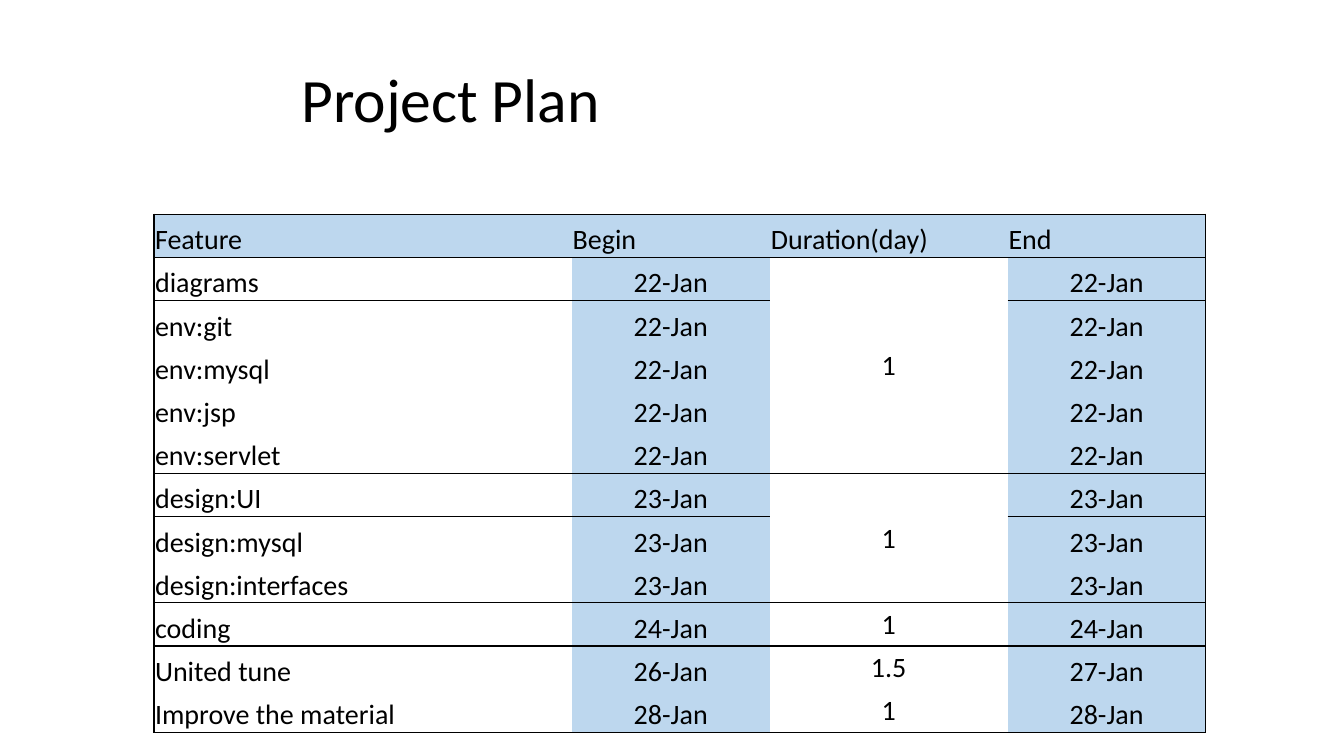
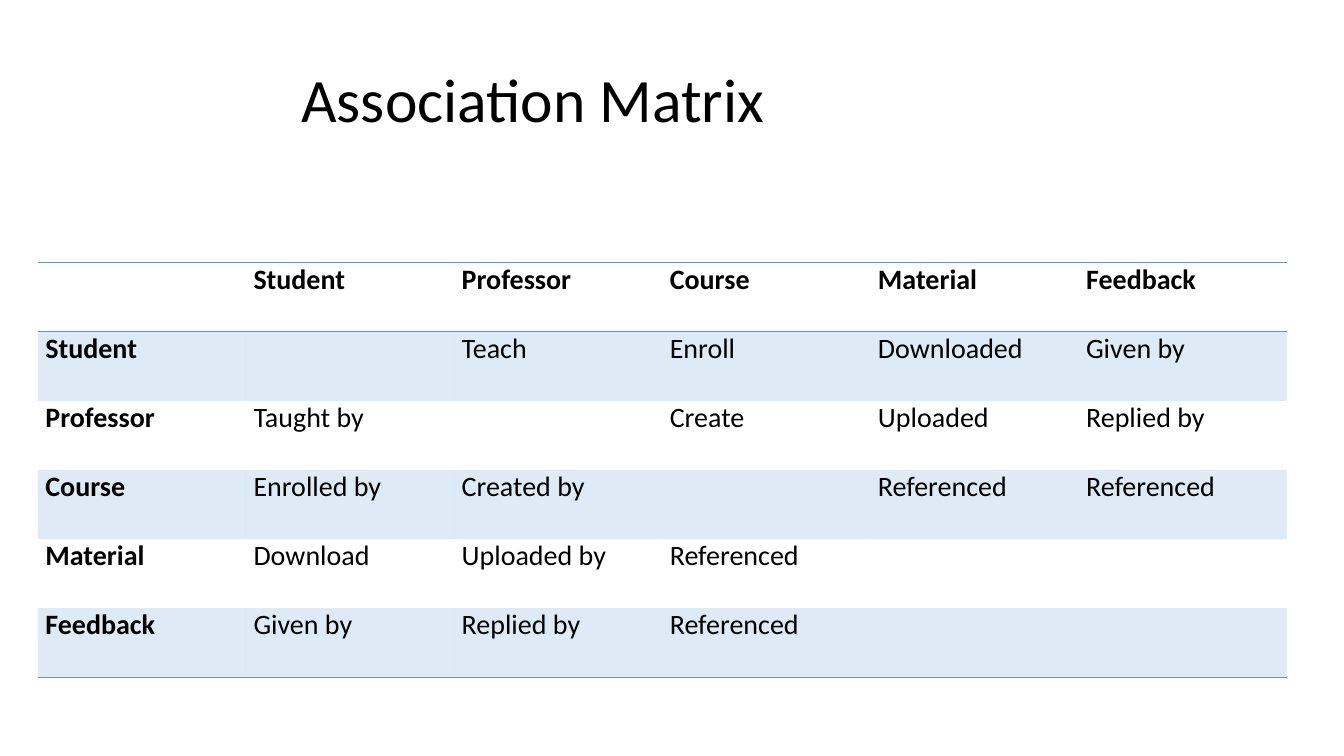
from dataclasses import dataclass

import lxml.etree
import pptx
import pptx.dml.color
import pptx.enum.text
import pptx.oxml.ns
import pptx.slide
import pptx.table
import pptx.text.text
import pptx.util

Pt = pptx.util.Pt
qn = pptx.oxml.ns.qn
ALIGN = pptx.enum.text.PP_ALIGN
ANCHOR = pptx.enum.text.MSO_ANCHOR

COLORS = {"text": "000000", "rule": "000000", "date": "BDD7EE", "accent": "5B9BD5"}
FONT = "Calibri"
TITLE_ONLY = 5
PLAIN_TABLE_STYLE = "{2D5ABB26-0587-4C30-8999-92F81FD0307C}"


@dataclass(frozen=True)
class Task:
    """A plan row; an empty duration continues the one above."""
    feature: str
    begin: str
    duration: str
    end: str


@dataclass(frozen=True)
class Grid:
    left: float
    top: float
    columns: tuple[float, ...]
    row_height: float
    rows: int


@dataclass(frozen=True)
class CellStyle:
    """Borders names the ruled sides: L, R, T and B."""
    margins: tuple[float, float]
    borders: str = ""
    border_color: str = "rule"
    fill: str | None = None
    opacity: int = 100
    anchor: ANCHOR = ANCHOR.TOP


HEADINGS = Task("Feature", "Begin", "Duration(day)", "End")
PHASES = [
    [
        Task("diagrams", "22-Jan", "1", "22-Jan"),
        Task("env:git", "22-Jan", "", "22-Jan"),
        Task("env:mysql", "22-Jan", "", "22-Jan"),
        Task("env:jsp", "22-Jan", "", "22-Jan"),
        Task("env:servlet", "22-Jan", "", "22-Jan"),
    ],
    [
        Task("design:UI", "23-Jan", "1", "23-Jan"),
        Task("design:mysql", "23-Jan", "", "23-Jan"),
        Task("design:interfaces", "23-Jan", "", "23-Jan"),
    ],
    [
        Task("coding", "24-Jan", "1", "24-Jan"),
        Task("United tune", "26-Jan", "1.5", "27-Jan"),
        Task("Improve the material", "28-Jan", "1", "28-Jan"),
    ],
]
ENTITIES = ["Student", "Professor", "Course", "Material", "Feedback"]
ASSOCIATIONS = [
    ["", "Teach", "Enroll", "Downloaded", "Given by"],
    ["Taught by", "", "Create", "Uploaded", "Replied by"],
    ["Enrolled by", "Created by", "", "Referenced", "Referenced"],
    ["Download", "Uploaded by", "Referenced", "", ""],
    ["Given by", "Replied by", "Referenced", "", ""],
]


def write_text(frame: pptx.text.text.TextFrame, text: str, *, size: float = 20,
               bold: bool = False, align: ALIGN = ALIGN.LEFT,
               line_spacing: float = 1.0, color: str = "text") -> None:
    paragraph = frame.paragraphs[0]
    paragraph.alignment = align
    paragraph.line_spacing = line_spacing
    if text:
        run = paragraph.add_run()
        run.text = text
        run.font.name = FONT
        run.font.size = Pt(size)
        run.font.bold = bold
        run.font.color.rgb = pptx.dml.color.RGBColor.from_string(COLORS[color])


def add_titled_slide(deck, heading: str) -> pptx.slide.Slide:
    slide = deck.slides.add_slide(deck.slide_layouts[TITLE_ONLY])
    title = slide.shapes.title
    title.left, title.top, title.width, title.height = Pt(208), Pt(29), Pt(686), Pt(88.5)
    title.text_frame.vertical_anchor = ANCHOR.MIDDLE
    write_text(title.text_frame, heading, size=44, line_spacing=0.9)
    return slide


def add_plain_table(slide: pptx.slide.Slide, grid: Grid) -> pptx.table.Table:
    table = slide.shapes.add_table(
        grid.rows, len(grid.columns), Pt(grid.left), Pt(grid.top),
        Pt(sum(grid.columns)), Pt(grid.row_height * grid.rows)).table
    table._tbl.tblPr.find(qn("a:tableStyleId")).text = PLAIN_TABLE_STYLE
    table.first_row = table.horz_banding = False
    for column, width in zip(table.columns, grid.columns):
        column.width = Pt(width)
    for row in table.rows:
        row.height = Pt(grid.row_height)
    return table


def style_cell(cell: pptx.table._Cell, style: CellStyle) -> None:
    side, top = style.margins
    cell.margin_left = cell.margin_right = Pt(side)
    cell.margin_top, cell.margin_bottom = Pt(top), Pt(0)
    cell.vertical_anchor = style.anchor
    properties = cell._tc.get_or_add_tcPr()
    for edge in "LRTB":  # the schema fixes this order
        if edge in style.borders:
            line = lxml.etree.SubElement(properties, qn(f"a:ln{edge}"), w=str(Pt(1)))
            solid = lxml.etree.SubElement(line, qn("a:solidFill"))
            lxml.etree.SubElement(solid, qn("a:srgbClr"), val=COLORS[style.border_color])
    if style.fill is None:
        cell.fill.background()
        return
    cell.fill.solid()
    cell.fill.fore_color.rgb = pptx.dml.color.RGBColor.from_string(COLORS[style.fill])
    if style.opacity < 100:
        tint = properties.find(f"{qn('a:solidFill')}/{qn('a:srgbClr')}")
        lxml.etree.SubElement(tint, qn("a:alpha"), val=str(style.opacity * 1000))


def add_project_plan(deck) -> None:
    slide = add_titled_slide(deck, "Project Plan")
    groups = [[HEADINGS], *PHASES]
    table = add_plain_table(slide, Grid(
        110, 153, (298.3, 141.7, 169.7, 141.7), 30.85, sum(map(len, groups))))
    row = 0
    for group in groups:
        is_header = group == [HEADINGS]
        for position, task in enumerate(group):
            edges = ("T" if position == 0 else "") + ("B" if position == len(group) - 1 else "")
            values = (task.feature, task.begin, task.duration, task.end)
            for column, value in enumerate(values):
                cell = table.cell(row + position, column)
                is_duration = column == 2 and not is_header
                style_cell(cell, CellStyle(
                    margins=(0.75, 0.75),
                    borders=edges + {0: "L", 3: "R"}.get(column, ""),
                    fill="date" if is_header or column in (1, 3) else None,
                    anchor=ANCHOR.MIDDLE if is_duration else ANCHOR.BOTTOM))
                write_text(cell.text_frame, value,
                           align=ALIGN.LEFT if is_header or column == 0 else ALIGN.CENTER)
        if len(group) > 1 and not any(task.duration for task in group[1:]):
            table.cell(row, 2).merge(table.cell(row + len(group) - 1, 2))
        row += len(group)


def add_association_matrix(deck) -> None:
    slide = add_titled_slide(deck, "Association Matrix")
    matrix = [["", *ENTITIES]] + [
        [entity, *links] for entity, links in zip(ENTITIES, ASSOCIATIONS)]
    table = add_plain_table(slide, Grid(
        27, 187.7, (148.7,) * len(matrix[0]), 49.35, len(matrix)))
    borders = {0: "TB", len(matrix) - 1: "B"}
    for row, values in enumerate(matrix):
        style = CellStyle(margins=(5.4, 0), borders=borders.get(row, ""),
                          border_color="accent", fill="accent" if row % 2 else None,
                          opacity=20)
        for column, value in enumerate(values):
            cell = table.cell(row, column)
            style_cell(cell, style)
            write_text(cell.text_frame, value, bold=row == 0 or column == 0)


def main() -> None:
    deck = pptx.Presentation()
    deck.slide_width, deck.slide_height = Pt(960), Pt(540)
    add_project_plan(deck)
    add_association_matrix(deck)
    deck.save("out.pptx")


if __name__ == "__main__":
    main()
